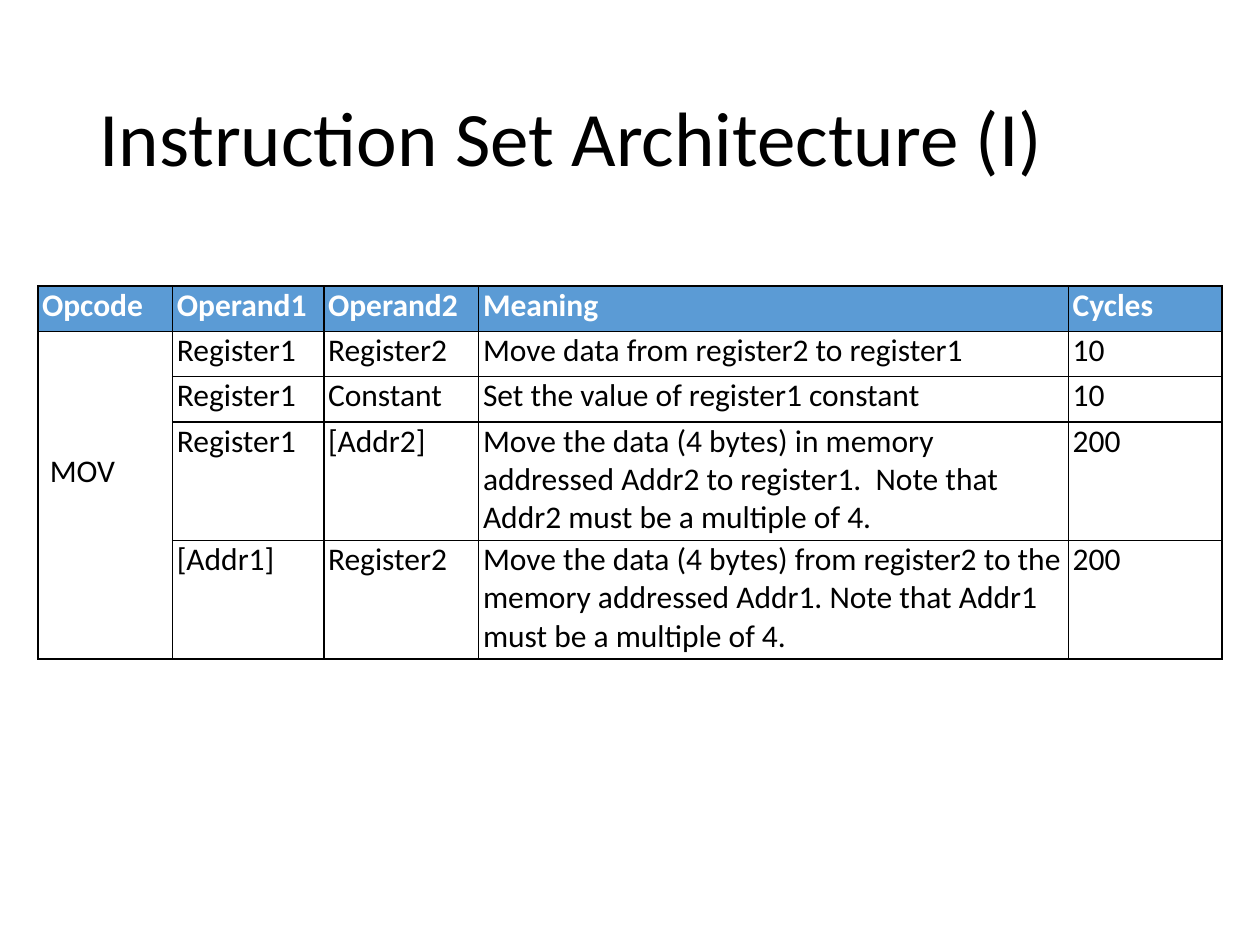
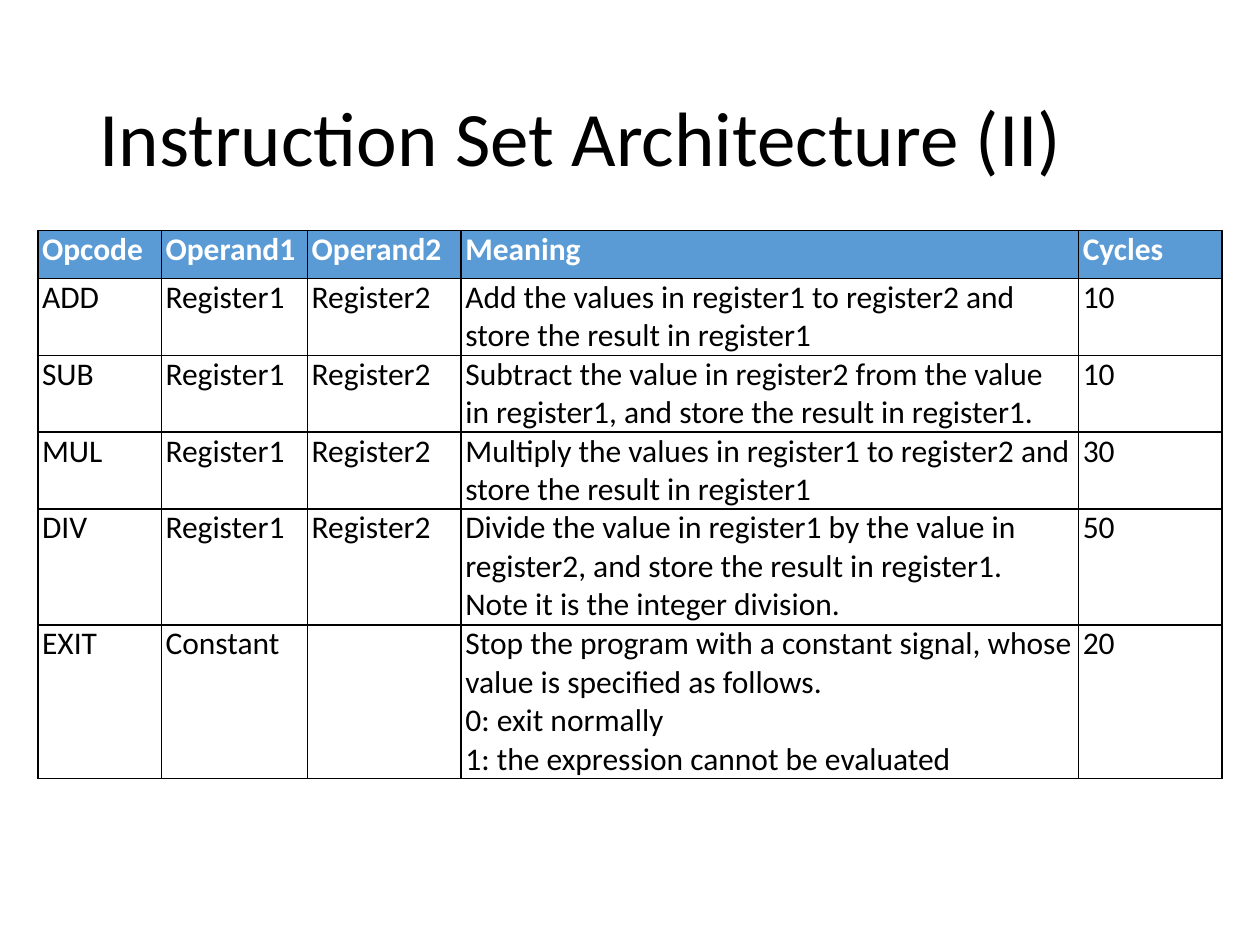
from collections import namedtuple
from dataclasses import dataclass

from lxml.etree import SubElement
from pptx import Presentation
from pptx.dml.color import RGBColor as Rgb
from pptx.enum.text import MSO_ANCHOR as Anchor
from pptx.oxml.ns import qn
from pptx.util import Inches, Pt

Box = namedtuple("Box", "left top width height")


@dataclass(frozen=True)
class Theme:
    font: str = "Calibri"
    ink: str = "000000"
    paper: str = "FFFFFF"
    header: str = "5B9BD5"
    title_size: int = 44
    cell_size: int = 18
    border: int = 1


THEME = Theme()

# The slide is a grid of 100 columns by 75 rows
GRID = Inches(0.1)
SLIDE_COLUMNS, SLIDE_ROWS = 100, 75
TITLE_BOX = Box(6.9, 4, 86.2, 14.5)
TABLE_LEFT, TABLE_WIDTH = 3, 94

SIDE_INSET = 0.34
MOV_TOP_INSET = 9.65
MOV_LEFT_INSET = 0.95

HEADINGS = ["Opcode", "Operand1", "Operand2", "Meaning", "Cycles"]

MOVES = [
    ["MOV", "Register1", "Register2", "Move data from register2 to register1", "10"],
    ["", "Register1", "Constant", "Set the value of register1 constant", "10"],
    ["", "Register1", "[Addr2]",
     "Move the data (4 bytes) in memory addressed Addr2 to register1.  Note that "
     "Addr2 must be a multiple of 4.", "200"],
    ["", "[Addr1]", "Register2",
     "Move the data (4 bytes) from register2 to the memory addressed Addr1. "
     "Note that Addr1 must be a multiple of 4.", "200"],
]

ARITHMETIC = [
    ["ADD", "Register1", "Register2",
     "Add the values in register1 to register2 and store the result in register1", "10"],
    ["SUB", "Register1", "Register2",
     "Subtract the value in register2 from the value in register1, and store "
     "the result in register1.", "10"],
    ["MUL", "Register1", "Register2",
     "Multiply the values in register1 to register2 and store the result in register1",
     "30"],
    ["DIV", "Register1", "Register2",
     "Divide the value in register1 by the value in register2, and store the "
     "result in register1.  Note it is the integer division.", "50"],
    ["EXIT", "Constant", "",
     "Stop the program with a constant signal, whose value is specified as follows.\n"
     "0: exit normally\n"
     "1: the expression cannot be evaluated", "20"],
]


def units(count):
    return round(count * GRID)


def add_run(paragraph, words, size, color, bold=False):
    run = paragraph.add_run()
    run.text = words
    run.font.name = THEME.font
    run.font.size = Pt(size)
    run.font.bold = bold
    run.font.color.rgb = Rgb.from_string(color)


def add_title(slide, box, words):
    frame = slide.shapes.add_textbox(*map(units, box)).text_frame
    frame.word_wrap = True
    frame.vertical_anchor = Anchor.MIDDLE
    heading = frame.paragraphs[0]
    heading.line_spacing = 0.9
    add_run(heading, words, THEME.title_size, THEME.ink)


def draw_borders(cell):
    properties = cell._tc.get_or_add_tcPr()
    for side in ("a:lnL", "a:lnR", "a:lnT", "a:lnB"):
        line = SubElement(properties, qn(side), w=str(Pt(THEME.border)))
        fill = SubElement(line, qn("a:solidFill"))
        SubElement(fill, qn("a:srgbClr"), val=THEME.ink)


def fill_cell(cell, words, is_header):
    # Borders come before the fill in the cell's properties
    draw_borders(cell)
    cell.fill.solid()
    cell.fill.fore_color.rgb = Rgb.from_string(THEME.header if is_header else THEME.paper)
    cell.margin_left = cell.margin_right = units(SIDE_INSET)
    cell.margin_top = cell.margin_bottom = 0
    if not words:
        cell.text_frame.paragraphs[0].font.size = Pt(THEME.cell_size)
        return
    for index, line in enumerate(words.split("\n")):
        frame = cell.text_frame
        paragraph = frame.add_paragraph() if index else frame.paragraphs[0]
        add_run(paragraph, line, THEME.cell_size,
                THEME.paper if is_header else THEME.ink, is_header)


def add_instruction_table(slide, box, column_widths, row_heights, instructions):
    rows = [HEADINGS] + instructions
    table = slide.shapes.add_table(len(rows), len(HEADINGS), *map(units, box)).table
    table.horz_banding = False
    # Columns and rows share out the box in proportion
    for column, width in zip(table.columns, column_widths):
        column.width = units(box.width * width / sum(column_widths))
    for row, height in zip(table.rows, row_heights):
        row.height = units(box.height * height / sum(row_heights))
    for row_index, row in enumerate(rows):
        for column_index, words in enumerate(row):
            fill_cell(table.cell(row_index, column_index), words, row_index == 0)
    return table


def add_instruction_slide(deck, title, top, column_widths, row_heights, instructions):
    slide = deck.slides.add_slide(deck.slide_layouts[6])
    add_title(slide, TITLE_BOX, title)
    box = Box(TABLE_LEFT, top, TABLE_WIDTH, sum(row_heights))
    return add_instruction_table(slide, box, column_widths, row_heights, instructions)


def main():
    deck = Presentation()
    deck.slide_width = units(SLIDE_COLUMNS)
    deck.slide_height = units(SLIDE_ROWS)

    # Move instructions share one opcode cell
    moves = add_instruction_slide(
        deck, "Instruction Set Architecture (I)", 22.7,
        [10.7, 12, 12.3, 46.8, 12.2], [3.6] * 3 + [9.4] * 2, MOVES)
    opcode = moves.cell(1, 0)
    opcode.merge(moves.cell(len(MOVES), 0))
    opcode.margin_left = units(MOV_LEFT_INSET)
    opcode.margin_top = units(MOV_TOP_INSET)

    # Arithmetic and exit instructions
    add_instruction_slide(
        deck, "Instruction Set Architecture (II)", 18.3,
        [9.8, 11.6, 12.2, 49, 11.4], [3.8] + [6.1] * 3 + [9.2, 12.2], ARITHMETIC)

    deck.save("out.pptx")


if __name__ == "__main__":
    main()
